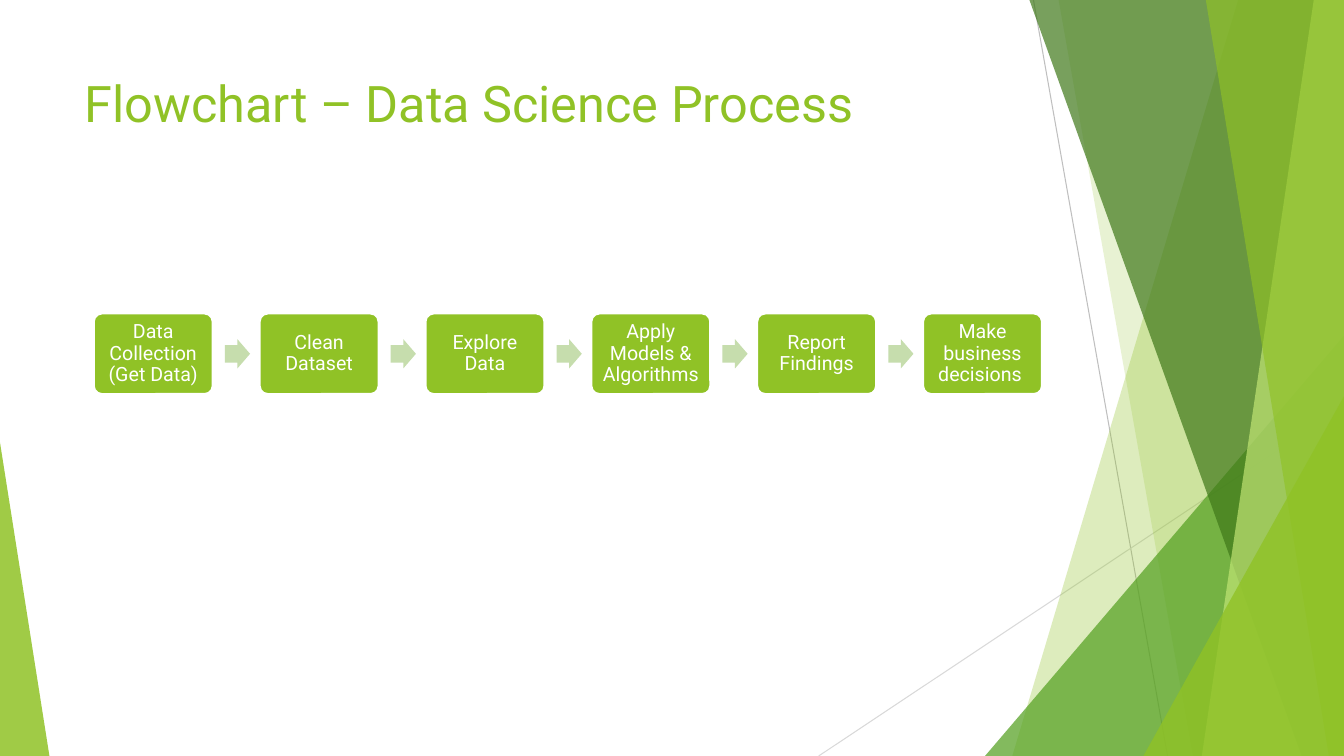
from typing import NamedTuple

from pptx import Presentation
from pptx.dml.color import RGBColor
from pptx.enum.shapes import MSO_CONNECTOR, MSO_SHAPE
from pptx.enum.text import MSO_ANCHOR, MSO_AUTO_SIZE, PP_ALIGN
from pptx.oxml.ns import qn
from pptx.util import Inches, Pt
from lxml.etree import SubElement

COLORS = {
    "lime": "90C226", "green": "54A021", "forest": "3F7819", "pale": "C0E474",
    "arrow": "C6DDAD", "white": "FFFFFF", "gray": "BFBFBF", "light_gray": "D9D9D9",
}
FONT = "Roboto"
WIDTH, HEIGHT = 13.33, 7.5


class Ray(NamedTuple):
    start: tuple[float, float]
    end: tuple[float, float]
    color: str


class Band(NamedTuple):
    """Full-height band reaching the right edge of the slide."""
    top_x: float
    bottom_x: float
    color: str
    opacity: int


class Corner(NamedTuple):
    """Triangle standing on the bottom edge of the slide."""
    left: float
    width: float
    height: float
    apex: float
    color: str
    opacity: int


RAYS = [
    Ray((10.25, 0), (11.58, HEIGHT), "gray"),
    Ray((WIDTH, 4.03), (8.12, HEIGHT), "light_gray"),
]
FACETS = [
    Band(12.28, 10.04, "lime", 30),
    Band(10.5, 11.83, "lime", 20),
    Corner(9.77, 3.56, 4.17, 1, "green", 72),
    Band(10.21, 12.91, "forest", 70),
    Band(13.03, 11.92, "pale", 70),
    Band(11.96, 13.18, "lime", 65),
    Corner(11.34, 1.99, 3.57, 1, "lime", 80),
    Corner(0, 0.49, 3.11, 0, "lime", 85),
]
STEPS = [
    "Data Collection (Get Data)", "Clean Dataset", "Explore Data",
    "Apply Models & Algorithms", "Report Findings", "Make business decisions ",
]
STEP_LEFT, STEP_TOP, STEP_PITCH = 0.93, 3.11, 1.645
STEP_W, STEP_H = 1.18, 0.8
ARROW_OFFSET, ARROW_W, ARROW_H = 1.3, 0.25, 0.29


def rgb(name: str) -> RGBColor:
    return RGBColor.from_string(COLORS[name])


def paint(sp, color: str, opacity: int = 100) -> None:
    sp.shadow.inherit = False
    sp.line.fill.background()
    sp.fill.solid()
    sp.fill.fore_color.rgb = rgb(color)
    if opacity < 100:
        clr = sp.element.spPr.find(qn("a:solidFill"))[0]
        SubElement(clr, qn("a:alpha")).set("val", str(opacity * 1000))


def add_run(p, text: str, size: int, color: str) -> None:
    r = p.add_run()
    r.text = text
    r.font.name = FONT
    r.font.size = Pt(size)
    r.font.color.rgb = rgb(color)


def add_ray(s, ray: Ray) -> None:
    points = [Inches(v) for v in (*ray.start, *ray.end)]
    line = s.shapes.add_connector(MSO_CONNECTOR.STRAIGHT, *points)
    line.line.color.rgb = rgb(ray.color)
    line.line.width = Pt(0.75)
    SubElement(line.element.spPr, qn("a:effectLst"))


def add_band(s, band: Band) -> None:
    builder = s.shapes.build_freeform(Inches(band.top_x), 0)
    outline = [(WIDTH, 0), (WIDTH, HEIGHT), (band.bottom_x, HEIGHT)]
    builder.add_line_segments([(Inches(x), Inches(y)) for x, y in outline])
    paint(builder.convert_to_shape(), band.color, band.opacity)


def add_corner(s, corner: Corner) -> None:
    sp = s.shapes.add_shape(
        MSO_SHAPE.ISOSCELES_TRIANGLE, Inches(corner.left),
        Inches(HEIGHT - corner.height), Inches(corner.width), Inches(corner.height))
    sp.adjustments[0] = corner.apex
    paint(sp, corner.color, corner.opacity)


def add_step(s, left: float, text: str) -> None:
    sp = s.shapes.add_shape(MSO_SHAPE.ROUNDED_RECTANGLE, Inches(left),
                            Inches(STEP_TOP), Inches(STEP_W), Inches(STEP_H))
    sp.adjustments[0] = 0.1
    paint(sp, "lime")
    sp.line.color.rgb = rgb("white")
    sp.line.width = Pt(1.5)
    tf = sp.text_frame
    tf.word_wrap = True
    tf.vertical_anchor = MSO_ANCHOR.MIDDLE
    tf.margin_left = tf.margin_right = tf.margin_top = tf.margin_bottom = Inches(0.06)
    p = tf.paragraphs[0]
    p.alignment = PP_ALIGN.CENTER
    p.line_spacing = 0.9
    add_run(p, text, 14, "white")


def add_arrow(s, left: float) -> None:
    top = STEP_TOP + (STEP_H - ARROW_H) / 2
    sp = s.shapes.add_shape(MSO_SHAPE.RIGHT_ARROW, Inches(left), Inches(top),
                            Inches(ARROW_W), Inches(ARROW_H))
    sp.adjustments[0] = 0.6
    sp.adjustments[1] = 0.5
    paint(sp, "arrow")


def set_title(s, text: str) -> None:
    title = s.shapes.title
    title.left, title.top = Inches(0.74), Inches(0.67)
    title.width, title.height = Inches(9.4), Inches(1.44)
    tf = title.text_frame
    tf.word_wrap = True
    tf.auto_size = MSO_AUTO_SIZE.NONE
    tf.vertical_anchor = MSO_ANCHOR.TOP
    p = tf.paragraphs[0]
    p.alignment = PP_ALIGN.LEFT
    add_run(p, text, 36, "lime")


def main() -> None:
    prs = Presentation()
    prs.slide_width, prs.slide_height = Inches(WIDTH), Inches(HEIGHT)
    s = prs.slides.add_slide(prs.slide_layouts.get_by_name("Title Only"))

    # Background decoration
    for ray in RAYS:
        add_ray(s, ray)
    for facet in FACETS:
        if isinstance(facet, Band):
            add_band(s, facet)
        else:
            add_corner(s, facet)

    # Title
    set_title(s, "Flowchart – Data Science Process")

    # Process steps with an arrow before each step but the first
    for i, text in enumerate(STEPS):
        left = STEP_LEFT + i * STEP_PITCH
        if i:
            add_arrow(s, left - STEP_PITCH + ARROW_OFFSET)
        add_step(s, left, text)

    prs.save("out.pptx")


if __name__ == "__main__":
    main()
